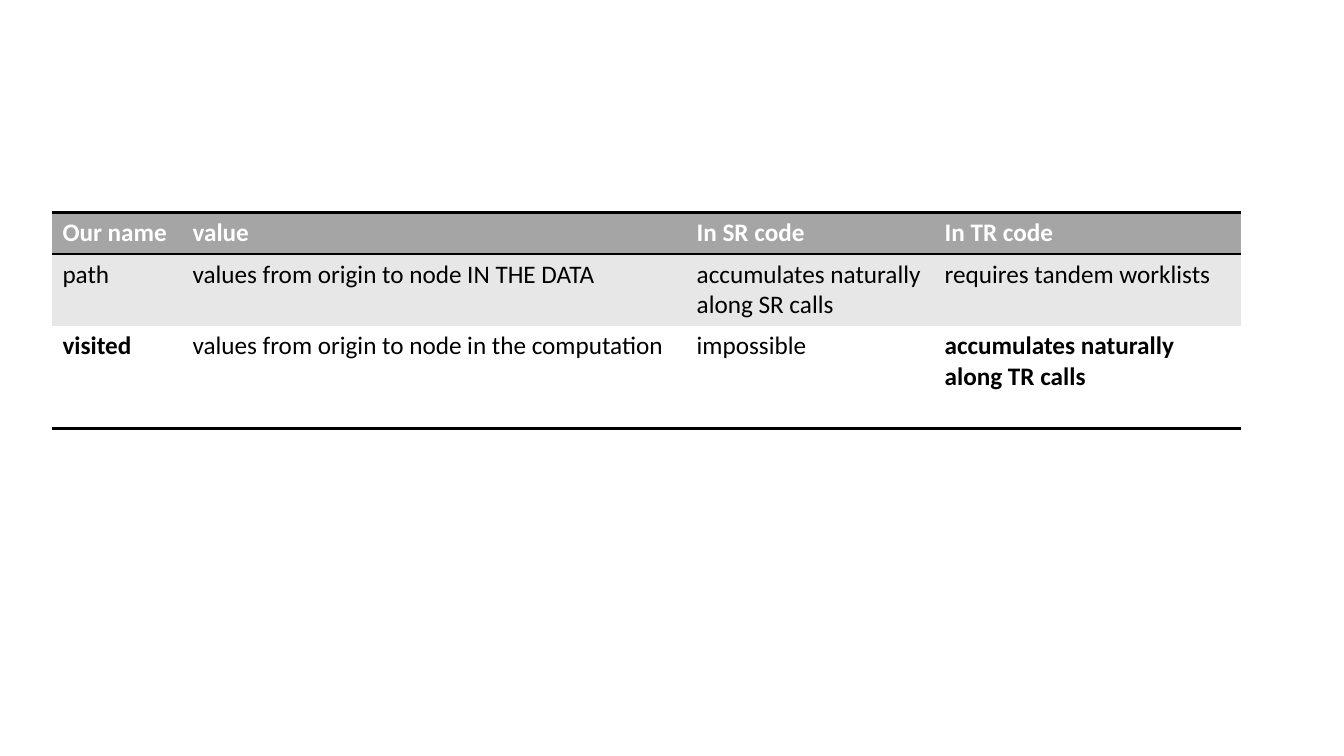
from lxml import etree
from pptx import Presentation
from pptx import util as u
from pptx.dml.color import RGBColor
from pptx.oxml.ns import qn

COLORS = {"header": "A5A5A5", "band": "E7E7E7", "white": "FFFFFF", "black": "000000"}
COL_WIDTHS = [1.29, 5, 2.46, 3.04]
ROW_HEIGHTS = [0.41, 0.71, 1.02]
ROW_FILLS = ["header", "band", "white"]
ROW_RULES = [("lnT", "lnB"), (), ("lnB",)]
ROWS = [
    ["Our name", "value", "In SR code", "In TR code"],
    ["path", "values from origin to node IN THE DATA",
     "accumulates naturally along SR calls", "requires tandem worklists"],
    ["visited", "values from origin to node in the computation",
     "impossible", "accumulates naturally\valong TR calls"],
]
BOLD_CELLS = {(2, 0), (2, 3)}
NO_STYLE = "{2D5ABB26-0587-4C30-8999-92F81FD0307C}"


def add_rule(cell, side):
    """Draw a black 2 pt line on one side of a cell."""
    tcPr = cell._tc.get_or_add_tcPr()
    ln = etree.SubElement(tcPr, qn("a:" + side), w=str(u.Pt(2)))
    fill = etree.SubElement(ln, qn("a:solidFill"))
    etree.SubElement(fill, qn("a:srgbClr"), val=COLORS["black"])


# Slide
prs = Presentation()
prs.slide_width, prs.slide_height = u.Inches(13.33), u.Inches(7.5)
s = prs.slides.add_slide(prs.slide_layouts[6])

# Table frame
sp = s.shapes.add_table(len(ROWS), len(COL_WIDTHS), u.Inches(0.52), u.Inches(2.11),
                        u.Inches(sum(COL_WIDTHS)), u.Inches(sum(ROW_HEIGHTS)))
table = sp.table
table.horz_banding = False
table._tbl.tblPr.find(qn("a:tableStyleId")).text = NO_STYLE
for column, width in zip(table.columns, COL_WIDTHS):
    column.width = u.Inches(width)
for row, height in zip(table.rows, ROW_HEIGHTS):
    row.height = u.Inches(height)

# Cells: rules, fill and text
for i, row_texts in enumerate(ROWS):
    for j, label in enumerate(row_texts):
        cell = table.cell(i, j)
        for side in ROW_RULES[i]:
            add_rule(cell, side)
        cell.fill.solid()
        cell.fill.fore_color.rgb = RGBColor.from_string(COLORS[ROW_FILLS[i]])
        p = cell.text_frame.paragraphs[0]
        p.text = label
        for r in p.runs:
            r.font.name = "Calibri"
            r.font.size = u.Pt(18)
            r.font.bold = i == 0 or (i, j) in BOLD_CELLS
            r.font.color.rgb = RGBColor.from_string(COLORS["black" if i else "white"])

prs.save("out.pptx")
